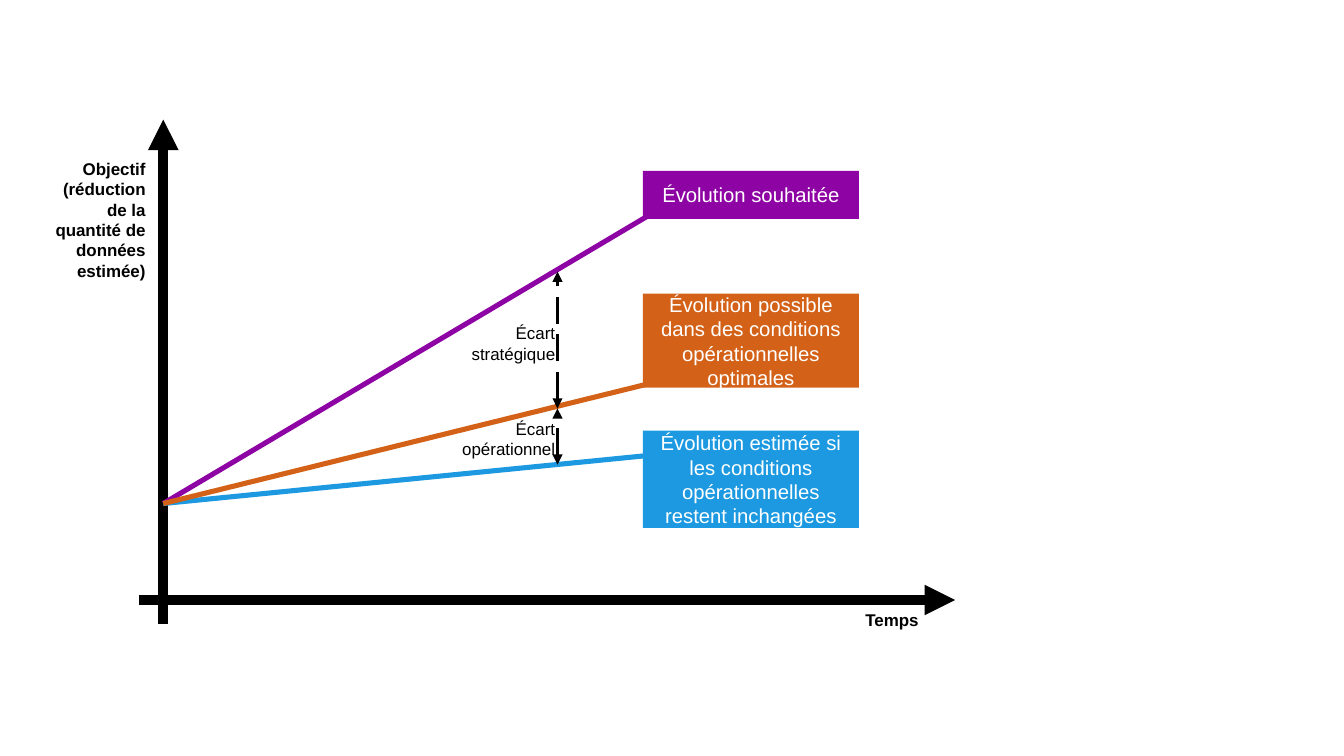
"""Build a slide showing the strategic and operational gaps between three trends."""
import lxml.etree
import pptx
import pptx.dml.color
import pptx.enum.dml
import pptx.enum.shapes
import pptx.enum.text
import pptx.oxml.ns
import pptx.util
from pptx.util import Cm

COLOURS = {
    "black": "000000",
    "white": "FFFFFF",
    "desired": "8E03A3",
    "estimated": "1C99E0",
    "possible": "D36118",
}
FONT = "Arial"
AXIS_X, AXIS_Y = 3.4, 12.5
TREND_START = (AXIS_X, 10.49)
BOX_LEFT, BOX_WIDTH = 13.39, 4.5
GAP_X = 11.61
GAP_LABEL_LEFT, GAP_LABEL_WIDTH, GAP_LABEL_HEIGHT = 8.81, 3, 1.04

TRENDS = [
    ("Évolution souhaitée", "desired", (13.49, 4.5), 3.56, 1),
    ("Évolution estimée si les conditions opérationnelles restent inchangées",
     "estimated", (BOX_LEFT, 9.5), 8.97, 2.03),
    ("Évolution possible dans des conditions opérationnelles optimales",
     "possible", (13.49, 8), 6.12, 1.96),
]
GAPS = [
    ("Écart stratégique", 8.51, 5.66, 6.6),
    ("Écart opérationnel", 9.68, 8.51, 8.59),
]


def rgb(name):
    """Return the named colour."""
    return pptx.dml.color.RGBColor.from_string(COLOURS[name])


def add_element(parent, tag, **attributes):
    """Append an XML element to a parent."""
    lxml.etree.SubElement(parent, pptx.oxml.ns.qn(tag), attributes)


def write_text(shape, text, size, colour, alignment, bold=False):
    """Put one formatted paragraph in a shape."""
    shape.text_frame.word_wrap = True
    paragraph = shape.text_frame.paragraphs[0]
    paragraph.text = text
    paragraph.alignment = alignment
    font = paragraph.runs[0].font
    font.name = FONT
    font.size = pptx.util.Pt(size)
    font.bold = bold
    font.color.rgb = rgb(colour)


def add_line(slide, start, end, colour, width, arrows=()):
    """Draw a straight line with arrowheads at the given ends."""
    connector = slide.shapes.add_connector(
        pptx.enum.shapes.MSO_CONNECTOR.STRAIGHT,
        Cm(start[0]), Cm(start[1]), Cm(end[0]), Cm(end[1]))
    connector.line.color.rgb = rgb(colour)
    connector.line.width = pptx.util.Pt(width)
    properties = connector._element.spPr
    outline = properties.find(pptx.oxml.ns.qn("a:ln"))
    for arrow in arrows:
        add_element(outline, arrow, type="triangle")
    add_element(properties, "a:effectLst")
    return connector


def add_label(slide, text, left, top, width, height, bold=False):
    """Add a right-aligned label."""
    label = slide.shapes.add_textbox(Cm(left), Cm(top), Cm(width), Cm(height))
    write_text(label, text, 10, "black", pptx.enum.text.PP_ALIGN.RIGHT, bold)
    label.text_frame.auto_size = pptx.enum.text.MSO_AUTO_SIZE.SHAPE_TO_FIT_TEXT


def add_trend(slide, text, colour, end, top, height):
    """Draw a trend line and the box that names it."""
    add_line(slide, TREND_START, end, colour, 3)
    box = slide.shapes.add_shape(
        pptx.enum.shapes.MSO_SHAPE.RECTANGLE,
        Cm(BOX_LEFT), Cm(top), Cm(BOX_WIDTH), Cm(height))
    box.shadow.inherit = False
    box.fill.solid()
    box.fill.fore_color.rgb = rgb(colour)
    box.line.fill.background()
    box.text_frame.vertical_anchor = pptx.enum.text.MSO_ANCHOR.MIDDLE
    write_text(box, text, 12, "white", pptx.enum.text.PP_ALIGN.CENTER)


def add_gap(slide, text, bottom, top, label_top):
    """Draw a dashed double arrow between two trends, with its label."""
    arrow = add_line(slide, (GAP_X, bottom), (GAP_X, top), "black", 0,
                     ("a:headEnd", "a:tailEnd"))
    arrow.line.dash_style = pptx.enum.dml.MSO_LINE.LONG_DASH
    add_label(slide, text, GAP_LABEL_LEFT, label_top,
              GAP_LABEL_WIDTH, GAP_LABEL_HEIGHT)


def main():
    """Build and save the slide."""
    presentation = pptx.Presentation()
    presentation.slide_width = Cm(27.99)
    presentation.slide_height = Cm(15.75)
    slide = presentation.slides.add_slide(presentation.slide_layouts[6])

    add_line(slide, (AXIS_X, 13), (AXIS_X, 2.49), "black", 6, ("a:tailEnd",))
    add_line(slide, (2.9, AXIS_Y), (19.89, AXIS_Y), "black", 6, ("a:tailEnd",))
    add_label(slide, "Objectif (réduction de la quantité de données estimée)",
              0.79, 3.18, 2.49, 2.62, bold=True)
    add_label(slide, "Temps", 16.89, 12.57, 2.49, 0.64, bold=True)

    for trend in TRENDS:
        add_trend(slide, *trend)
    for gap in GAPS:
        add_gap(slide, *gap)

    presentation.save("out.pptx")


if __name__ == "__main__":
    main()
